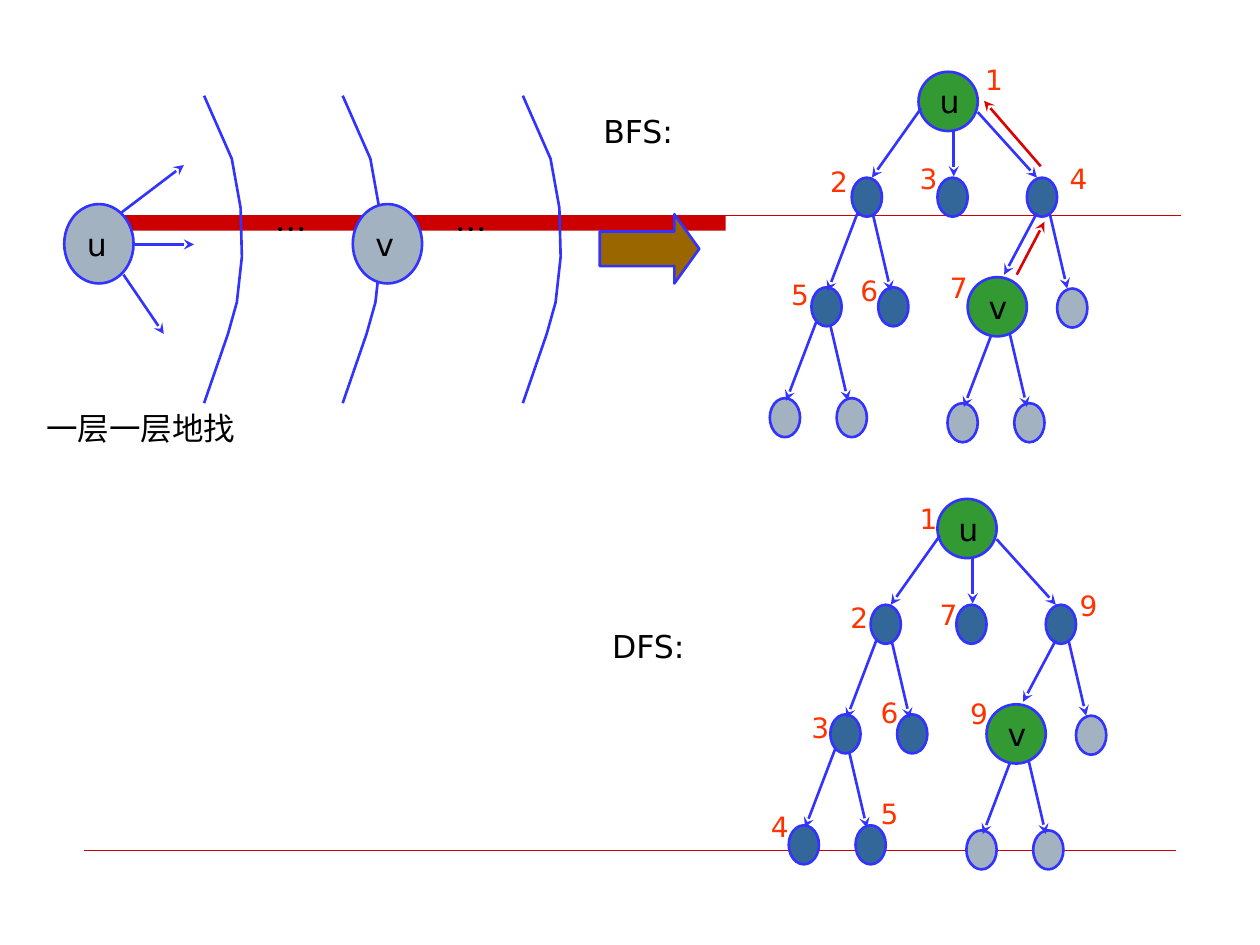
from dataclasses import dataclass

from lxml import etree
from pptx import Presentation
from pptx.dml.color import RGBColor
from pptx.enum.shapes import MSO_CONNECTOR, MSO_SHAPE
from pptx.enum.text import MSO_ANCHOR, MSO_AUTO_SIZE, PP_ALIGN
from pptx.oxml.ns import qn
from pptx.util import Inches, Pt


@dataclass(frozen=True)
class Theme:
    font: str = "DejaVu Sans"
    cjk: str = "Noto Sans CJK SC"
    body: int = 18
    small: int = 16
    stroke: float = 1.5
    text: str = "000000"
    order: str = "FF3300"
    outline: str = "3333FF"
    plain: str = "A3B2C1"
    visited: str = "336699"
    named: str = "339933"
    arrow: str = "996600"
    rule: str = "CC0000"
    back: str = "DB0303"


class Board:
    def __init__(self, slide, theme):
        self.s = slide
        self.t = theme

    def paint(self, sp, fill, outline=True):
        sp.shadow.inherit = False
        if fill:
            sp.fill.solid()
            sp.fill.fore_color.rgb = RGBColor.from_string(fill)
        else:
            sp.fill.background()
        if outline:
            sp.line.color.rgb = RGBColor.from_string(self.t.outline)
            sp.line.width = Pt(self.t.stroke)
        else:
            sp.line.fill.background()

    def set_text(self, sp, text, size, color, font):
        tf = sp.text_frame
        tf.text = text
        p = tf.paragraphs[0]
        p.alignment = PP_ALIGN.LEFT
        r = p.runs[0]
        r.font.size = Pt(size)
        r.font.name = font
        r.font.color.rgb = RGBColor.from_string(color)
        etree.SubElement(r._r.get_or_add_rPr(), qn("a:ea")).set("typeface", self.t.cjk)
        return tf

    def shape(self, kind, x, y, w, h, fill, outline=True):
        sp = self.s.shapes.add_shape(kind, Inches(x), Inches(y), Inches(w), Inches(h))
        self.paint(sp, fill, outline)
        return sp

    def node(self, x, y, w, h, fill, name=None):
        sp = self.shape(MSO_SHAPE.OVAL, x, y, w, h, fill)
        if name:
            tf = self.set_text(sp, name, self.t.body, self.t.text, self.t.font)
            tf.word_wrap = False
            tf.vertical_anchor = MSO_ANCHOR.MIDDLE

    def label(self, text, x, y, w, h=0.4, size=None, color=None, font=None):
        sp = self.s.shapes.add_textbox(Inches(x), Inches(y), Inches(w), Inches(h))
        tf = self.set_text(sp, text, size or self.t.body, color or self.t.text,
                           font or self.t.font)
        tf.word_wrap = True
        tf.auto_size = MSO_AUTO_SIZE.SHAPE_TO_FIT_TEXT

    def line(self, x1, y1, x2, y2, color=None, width=None, head=True):
        c = self.s.shapes.add_connector(
            MSO_CONNECTOR.STRAIGHT, Inches(x1), Inches(y1), Inches(x2), Inches(y2))
        c.line.color.rgb = RGBColor.from_string(color or self.t.outline)
        c.line.width = Pt(width or self.t.stroke)
        spPr = c._element.spPr
        if head:
            etree.SubElement(spPr.find(qn("a:ln")), qn("a:tailEnd")).set("type", "stealth")
        etree.SubElement(spPr, qn("a:effectLst"))

    def wave(self, x, points):
        pts = [(Inches(x + dx), Inches(y)) for dx, y in points]
        fb = self.s.shapes.build_freeform(*pts[0])
        fb.add_line_segments(pts[1:], close=False)
        self.paint(fb.convert_to_shape(), None)

    def tree(self, dx, dy, visited, orders):
        t = self.t
        self.node(7.29 + dx, 0.57 + dy, BIG, BIG, t.named, "u")
        for i, (x, y) in enumerate(NODES):
            fill = t.visited if i in visited else t.plain
            self.node(x + dx, y + dy, 0.24, 0.31, fill)
        for x1, y1, x2, y2 in EDGES:
            self.line(x1 + dx, y1 + dy, x2 + dx, y2 + dy)
        self.node(7.68 + dx, 2.2 + dy, BIG, BIG, t.named, "v")
        for text, x, y in orders:
            self.label(text, x, y, 0.32, 0.37, t.small, t.order)


BIG = 0.47
WAVE = [(0, 0.76), (0.22, 1.26), (0.29, 1.65), (0.3, 2.04), (0.26, 2.4), (0.19, 2.65), (0, 3.2)]
NODES = [(6.76, 1.41), (7.44, 1.41), (8.15, 1.41),
         (6.44, 2.28), (6.97, 2.28), (8.39, 2.29),
         (6.11, 3.16), (6.64, 3.16), (7.52, 3.2), (8.05, 3.2)]
ROOT_EDGES = [(7.31, 0.86, 6.92, 1.41), (7.57, 1.04, 7.57, 1.4), (7.76, 0.89, 8.23, 1.41)]
LEFT_STARTS = [(6.81, 1.68), (6.48, 2.55), (7.89, 2.6)]
RIGHT_STARTS = [(6.93, 1.71), (8.33, 1.69), (6.59, 2.58), (8.01, 2.63)]
EDGES = (ROOT_EDGES
         + [(x, y, x - 0.24, y + 0.63) for x, y in LEFT_STARTS]
         + [(x, y, x + 0.14, y + 0.6) for x, y in RIGHT_STARTS]
         + [(8.23, 1.69, 7.97, 2.18)])
BFS_ORDER = [("1", 7.72, 0.45), ("2", 6.49, 1.26), ("3", 7.2, 1.23), ("4", 8.39, 1.23),
             ("5", 6.18, 2.15), ("6", 6.73, 2.12), ("7", 7.44, 2.1)]
DFS_ORDER = [("1", 7.2, 3.93), ("2", 6.65, 4.72), ("3", 6.34, 5.59), ("4", 6.02, 6.38),
             ("6", 6.89, 5.47), ("5", 6.89, 6.27), ("7", 7.36, 4.69), ("9", 8.47, 4.62),
             ("9", 7.6, 5.48)]


def main():
    prs = Presentation()
    prs.slide_width, prs.slide_height = Inches(10), Inches(7.5)
    t = Theme()
    b = Board(prs.slides.add_slide(prs.slide_layouts[6]), t)

    b.shape(MSO_SHAPE.RECTANGLE, 0.67, 1.71, 5.09, 0.12, t.rule, outline=False)
    b.line(0.67, 1.71, 9.37, 1.71, t.rule, 0.75, head=False)
    b.line(0.67, 6.75, 9.33, 6.75, t.rule, 0.25, head=False)

    for x in (1.62, 2.72, 4.15):
        b.wave(x, WAVE)
    for name, x in (("u", 0.51), ("v", 2.8)):
        b.node(x, 1.62, 0.55, 0.63, t.plain, name)
    for ends in ((0.96, 1.69, 1.46, 1.31), (1.06, 1.94, 1.54, 1.94), (0.98, 2.18, 1.3, 2.65)):
        b.line(*ends)
    for x in (2.09, 3.52):
        b.label("…", x, 1.62, 0.87, font=t.cjk)
    b.label("一层一层地找", 0.27, 3.2, 4.65)

    sp = b.shape(MSO_SHAPE.RIGHT_ARROW, 4.76, 1.7, 0.79, 0.55, t.arrow)
    sp.adjustments[1] = 0.36

    b.label("BFS:", 4.69, 0.84, 1.73)
    b.tree(0, 0, range(5), BFS_ORDER)
    b.line(8.07, 2.18, 8.29, 1.76, t.back)
    b.line(8.26, 1.32, 7.81, 0.8, t.back)

    b.label("DFS:", 4.76, 4.93, 1.73)
    b.tree(0.15, 3.39, {0, 1, 2, 3, 4, 6, 7}, DFS_ORDER)

    prs.save("out.pptx")


if __name__ == "__main__":
    main()
